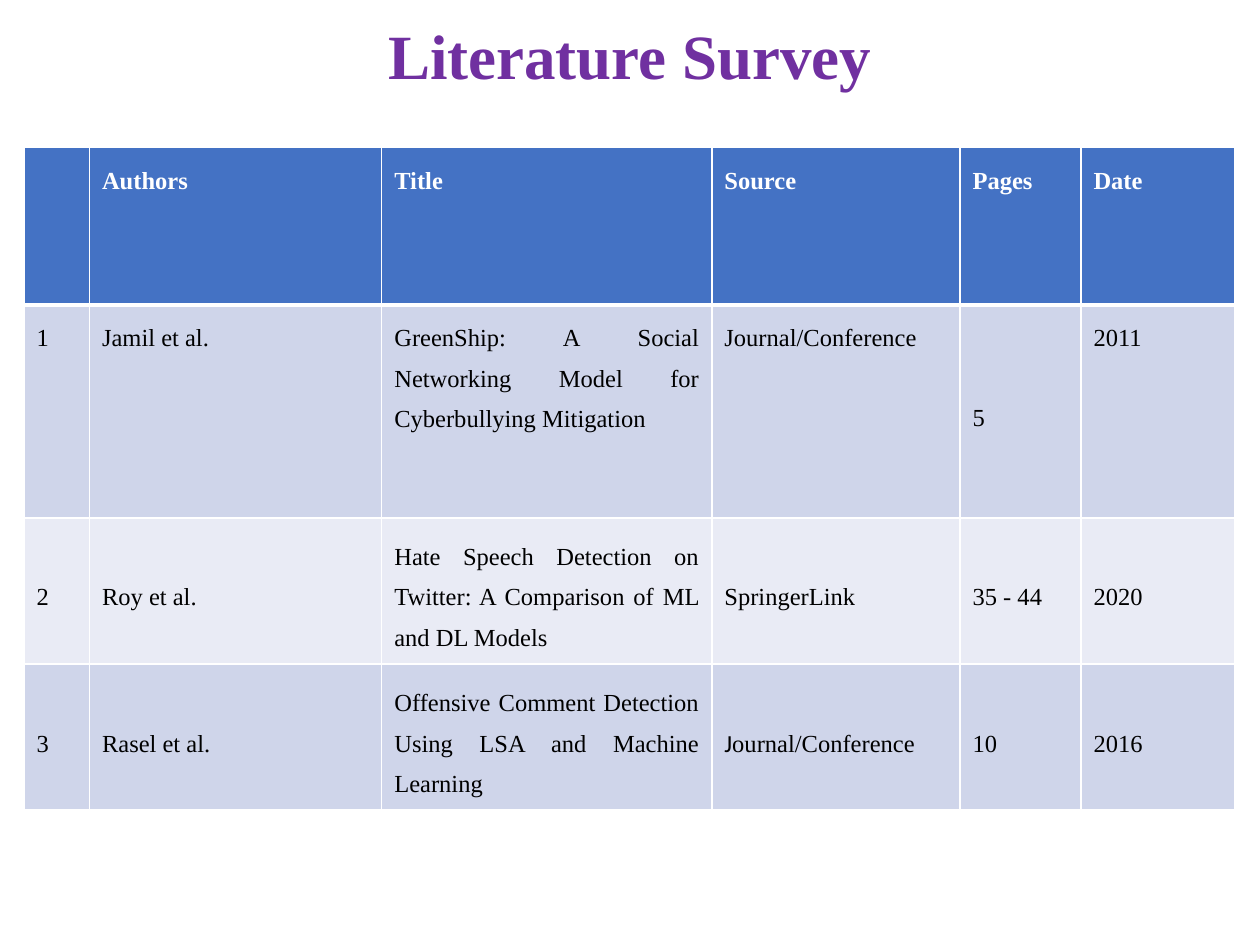
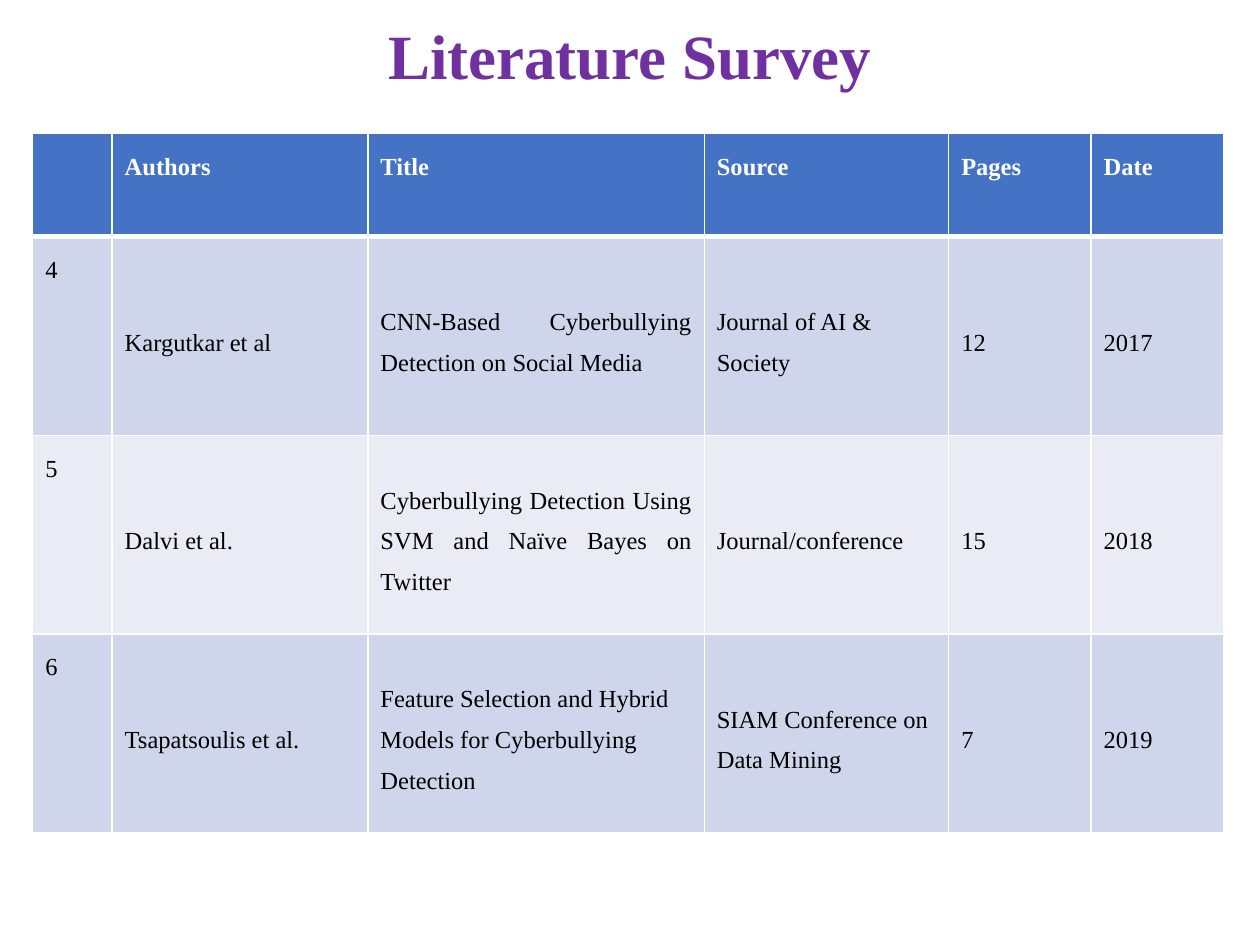
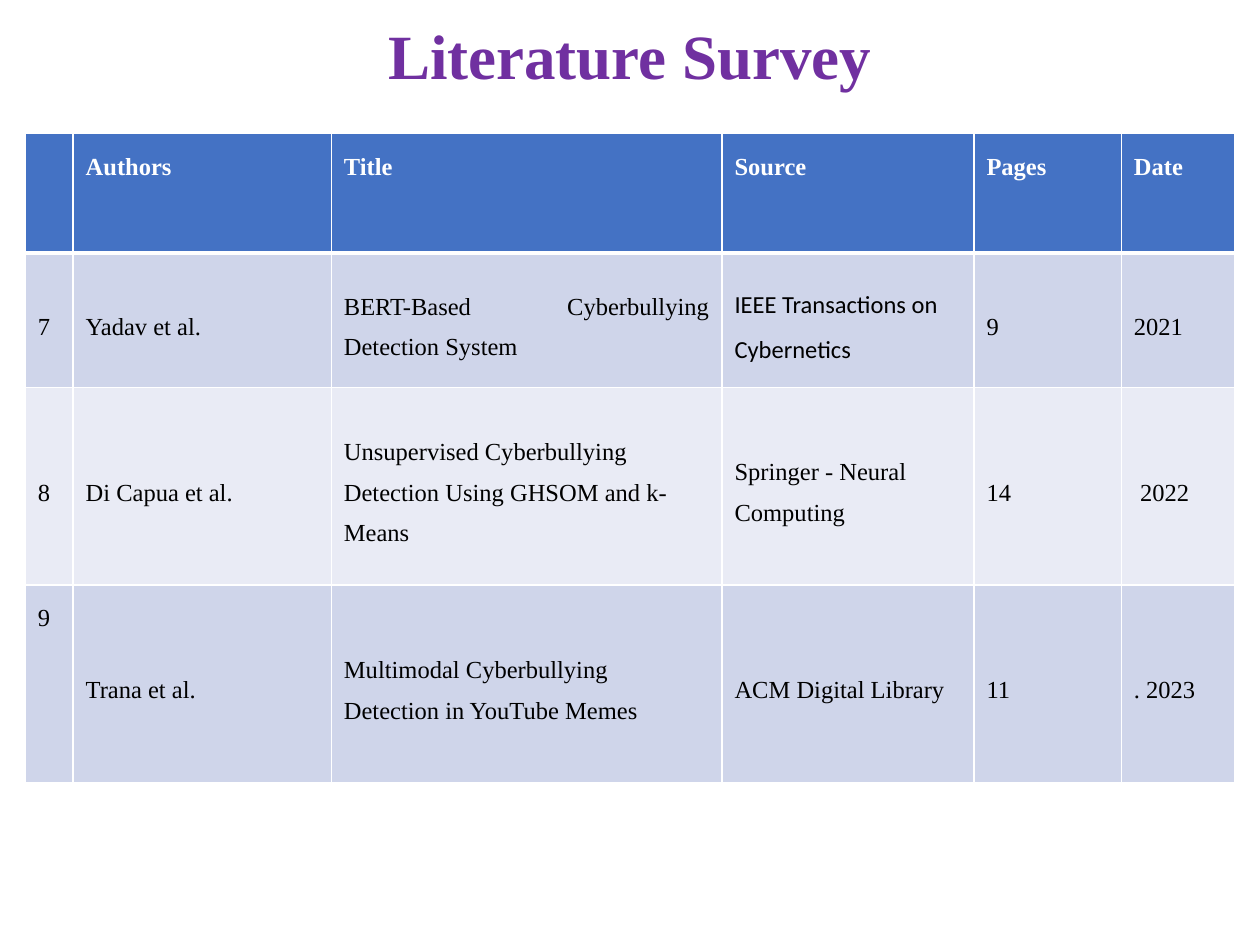
from dataclasses import dataclass, field

from lxml import etree
from pptx import Presentation
from pptx.dml.color import RGBColor
from pptx.enum.text import MSO_ANCHOR, MSO_AUTO_SIZE, PP_ALIGN
from pptx.oxml.ns import qn
from pptx.util import Inches, Pt

TOP, MIDDLE = MSO_ANCHOR.TOP, MSO_ANCHOR.MIDDLE
LEFT, CENTER, JUSTIFY = PP_ALIGN.LEFT, PP_ALIGN.CENTER, PP_ALIGN.JUSTIFY
TITLE_ONLY = 5

COLORS = {
    "title": "7030A0",
    "header": "4472C4",
    "odd_row": "CFD5EA",
    "even_row": "E9EBF5",
    "light": "FFFFFF",
    "dark": "000000",
}
SERIF, SANS = "Times New Roman", "Calibri"
TITLE_BOX = (0.69, 0.18, 8.62, 0.58)
HEADINGS = ["", "Authors", "Title", "Source", "Pages", "Date"]


@dataclass
class Survey:
    """One page of the survey; cells are named by (row, column), row 0 being the headings."""
    box: tuple
    column_weights: list
    row_weights: list
    papers: list
    top_cells: set
    justified_cells: set
    sans_starts: dict = field(default_factory=dict)  # cell -> leading letters set in SANS


SURVEYS = [
    Survey(
        box=(0.19, 1.17, 9.61, 5.26),
        column_weights=[52, 232, 262, 197, 96, 122],
        row_weights=[125, 169, 116, 116],
        papers=[
            ["1", "Jamil et al.",
             "GreenShip: A Social Networking Model for Cyberbullying Mitigation",
             "Journal/Conference", "5", "2011"],
            ["2", "Roy et al.",
             "Hate Speech Detection on Twitter: A Comparison of ML and DL Models",
             "SpringerLink", "35 - 44", "2020"],
            ["3", "Rasel et al.",
             "Offensive Comment Detection Using LSA and Machine Learning",
             "Journal/Conference", "10", "2016"],
        ],
        top_cells={(1, 0), (1, 1), (1, 2), (1, 3), (1, 5)},
        justified_cells={(1, 2), (1, 3), (2, 2), (2, 3), (3, 2)},
        sans_starts={(3, 3): 1},
    ),
    Survey(
        box=(0.26, 1.06, 9.45, 5.55),
        column_weights=[63, 203, 267, 194, 113, 105],
        row_weights=[82, 158, 158, 158],
        papers=[
            ["4", "Kargutkar et al",
             "CNN-Based Cyberbullying Detection on Social Media",
             "Journal of AI & Society", "12", "2017"],
            ["5", "Dalvi et al.",
             "Cyberbullying Detection Using SVM and Naïve Bayes on Twitter",
             "Journal/conference", "15", "2018"],
            ["6", "Tsapatsoulis et al.",
             "Feature Selection and Hybrid Models for Cyberbullying Detection",
             "SIAM Conference on Data Mining", "7", "2019"],
        ],
        top_cells={(1, 0), (2, 0), (3, 0)},
        justified_cells={(1, 2), (2, 1), (2, 2)},
    ),
    Survey(
        box=(0.2, 1.06, 9.6, 5.15),
        column_weights=[38, 205, 310, 200, 117, 90],
        row_weights=[95, 107, 157, 157],
        papers=[
            ["7", "Yadav et al.",
             "BERT-Based Cyberbullying Detection System",
             "IEEE Transactions on Cybernetics", "9", "2021"],
            ["8", "Di Capua et al.",
             "Unsupervised Cyberbullying Detection Using GHSOM and k-Means",
             "Springer - Neural Computing", "14", " 2022"],
            ["9", "Trana et al.",
             "Multimodal Cyberbullying Detection in YouTube Memes",
             "ACM Digital Library", "11", ". 2023"],
        ],
        top_cells={(3, 0)},
        justified_cells={(1, 2)},
        sans_starts={(1, 3): len("IEEE Transactions on Cybernetics")},
    ),
]


def format_run(run, size, color, bold, name=SERIF):
    run.font.size = Pt(size)
    run.font.name = name
    run.font.bold = bold
    run.font.color.rgb = RGBColor.from_string(COLORS[color])


def add_title(slide, text, box):
    title = slide.shapes.title
    title.left, title.top, title.width, title.height = map(Inches, box)
    frame = title.text_frame
    frame.text = text
    frame.auto_size = MSO_AUTO_SIZE.NONE
    frame.vertical_anchor = MIDDLE
    paragraph = frame.paragraphs[0]
    paragraph.alignment = CENTER
    paragraph.line_spacing = 0.9
    format_run(paragraph.runs[0], 36, "title", True)


def set_borders(cell, is_header, below_header):
    properties = cell._tc.get_or_add_tcPr()
    widths = {"L": 1, "R": 1, "T": 3 if below_header else 1, "B": 3 if is_header else 1}
    for side, width in widths.items():
        line = etree.SubElement(properties, qn(f"a:ln{side}"), w=str(Pt(width)))
        fill = etree.SubElement(line, qn("a:solidFill"))
        etree.SubElement(fill, qn("a:srgbClr"), val=COLORS["light"])


def fill_cell(cell, text, position, survey):
    row, _ = position
    is_header = row == 0
    set_borders(cell, is_header, row == 1)
    cell.fill.solid()
    fill = "header" if is_header else "odd_row" if row % 2 else "even_row"
    cell.fill.fore_color.rgb = RGBColor.from_string(COLORS[fill])
    cell.vertical_anchor = TOP if is_header or position in survey.top_cells else MIDDLE

    paragraph = cell.text_frame.paragraphs[0]
    paragraph.line_spacing = 1.5
    paragraph.alignment = JUSTIFY if position in survey.justified_cells else LEFT
    split = survey.sans_starts.get(position, 0)
    for part, name in ((text[:split], SANS), (text[split:], SERIF)):
        if part:
            run = paragraph.add_run()
            run.text = part
            format_run(run, 14, "light" if is_header else "dark", is_header, name)


def share_out(lines, weights, length):
    """Return a (column or row, size) pair for each weight's share of the length."""
    return [(line, Inches(length * weight / sum(weights))) for line, weight in zip(lines, weights)]


def add_survey_table(slide, survey):
    rows = [HEADINGS] + survey.papers
    left, top, width, height = survey.box
    table = slide.shapes.add_table(
        len(rows), len(HEADINGS), Inches(left), Inches(top), Inches(width), Inches(height)
    ).table
    for column, size in share_out(table.columns, survey.column_weights, width):
        column.width = size
    for row, size in share_out(table.rows, survey.row_weights, height):
        row.height = size
    for row_index, texts in enumerate(rows):
        for column_index, text in enumerate(texts):
            position = (row_index, column_index)
            fill_cell(table.cell(*position), text, position, survey)


def main():
    presentation = Presentation()
    presentation.slide_width, presentation.slide_height = Inches(10), Inches(7.5)
    for survey in SURVEYS:
        slide = presentation.slides.add_slide(presentation.slide_layouts[TITLE_ONLY])
        add_title(slide, "Literature Survey", TITLE_BOX)
        add_survey_table(slide, survey)
    presentation.save("out.pptx")


if __name__ == "__main__":
    main()
